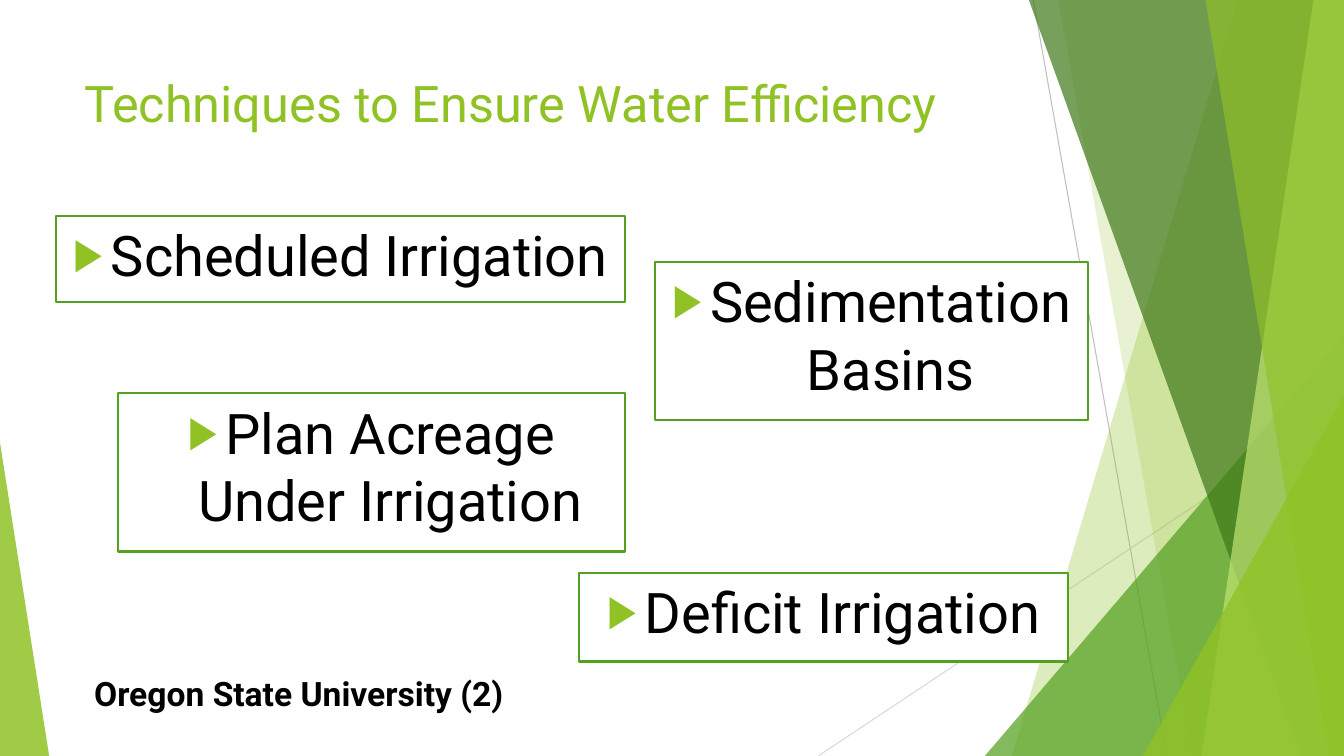
"""Build the slide on techniques to ensure water efficiency."""
from lxml import etree
from pptx import Presentation
from pptx.dml.color import RGBColor
from pptx.enum.shapes import MSO_CONNECTOR, MSO_SHAPE
from pptx.enum.text import MSO_ANCHOR, PP_ALIGN
from pptx.oxml.ns import qn
from pptx.util import Cm, Pt

STRAIGHT = MSO_CONNECTOR.STRAIGHT
RECTANGLE, TRIANGLE = MSO_SHAPE.RECTANGLE, MSO_SHAPE.ISOSCELES_TRIANGLE
TOP = MSO_ANCHOR.TOP
LEFT, CENTER = PP_ALIGN.LEFT, PP_ALIGN.CENTER

THEME = {
    "font": "Roboto",
    "lime": "90C226", "green": "54A021", "forest": "3F7819", "pale": "C0E474",
    "white": "FFFFFF", "black": "000000", "grey": "BFBFBF", "silver": "D9D9D9",
    "title": 36, "technique": 40, "credit": 24,
    "hairline": 0.75, "frame": 1.5,
    "bullet": "▶", "bullet_percent": 80, "hanging": 0.95,
}
WIDTH, HEIGHT = 33.87, 19.05

TITLE = ("Techniques to Ensure Water Efficiency", (1.88, 1.7, 23.88, 2.18))
CREDIT = ("Oregon State University (2)", (1.65, 16.84, 11.76, 1.42))
TECHNIQUES = [
    ("Scheduled Irrigation", (1.42, 5.44, 14.33, 2.18)),
    ("Deficit Irrigation", (14.6, 14.43, 12.32, 2.24)),
    ("Plan Acreage Under Irrigation", (2.97, 9.91, 12.78, 3.99)),
    ("Sedimentation Basins", (16.51, 6.6, 10.92, 3.99)),
]
RAYS = [
    ((26.04, 0), (29.41, HEIGHT), "grey"),
    ((WIDTH, 10.24), (20.62, HEIGHT), "silver"),
]
FACETS = [
    ("band", (31.19, 25.5), "lime", 30),
    ("band", (26.67, 30.05), "lime", 20),
    ("corner", (24.82, WIDTH, 8.46, 1), "green", 72),
    ("band", (25.93, 32.79), "forest", 70),
    ("band", (33.1, 30.28), "pale", 70),
    ("band", (30.38, 33.48), "lime", 65),
    ("corner", (28.8, WIDTH, 9.98, 1), "lime", 80),
    ("corner", (0, 1.24, 11.15, 0), "lime", 85),
]


def color(name):
    return RGBColor.from_string(THEME[name])


def add_ray(shapes, start, end, tint):
    ray = shapes.add_connector(STRAIGHT, *map(Cm, start + end))
    ray.line.color.rgb = color(tint)
    ray.line.width = Pt(THEME["hairline"])
    etree.SubElement(ray._element.spPr, qn("a:effectLst"))


def add_band(shapes, top_x, bottom_x):
    outline = [(WIDTH, 0), (WIDTH, HEIGHT), (bottom_x, HEIGHT)]
    builder = shapes.build_freeform(Cm(top_x), Cm(0))
    builder.add_line_segments([(Cm(x), Cm(y)) for x, y in outline], close=True)
    return builder.convert_to_shape()


def add_corner(shapes, left, right, top, apex):
    box = map(Cm, (left, top, right - left, HEIGHT - top))
    corner = shapes.add_shape(TRIANGLE, *box)
    corner.adjustments[0] = apex
    return corner


def paint_facet(facet, tint, opacity):
    facet.shadow.inherit = False
    facet.line.fill.background()
    facet.fill.solid()
    facet.fill.fore_color.rgb = color(tint)
    srgb = facet._element.spPr.find(qn("a:solidFill")).find(qn("a:srgbClr"))
    etree.SubElement(srgb, qn("a:alpha"), val=str(opacity * 1000))


def add_bullet(paragraph):
    hanging = Cm(THEME["hanging"])
    properties = paragraph._p.get_or_add_pPr()
    properties.set("marL", str(hanging))
    properties.set("indent", str(-hanging))
    tint = etree.SubElement(properties, qn("a:buClr"))
    etree.SubElement(tint, qn("a:srgbClr"), val=THEME["lime"])
    percent = str(THEME["bullet_percent"] * 1000)
    etree.SubElement(properties, qn("a:buSzPct"), val=percent)
    etree.SubElement(properties, qn("a:buFont"), typeface=THEME["font"])
    etree.SubElement(properties, qn("a:buChar"), char=THEME["bullet"])


def write(holder, text, size, tint, align, bold=False, bulleted=False):
    frame = holder.text_frame
    frame.word_wrap = True
    frame.vertical_anchor = TOP
    paragraph = frame.paragraphs[0]
    paragraph.alignment = align
    if bulleted:
        add_bullet(paragraph)
    run = paragraph.add_run()
    run.text = text
    formats = {"name": THEME["font"], "size": Pt(THEME[size]), "bold": bold}
    for attribute, value in formats.items():
        setattr(run.font, attribute, value)
    run.font.color.rgb = color(tint)


def add_technique(shapes, text, box):
    card = shapes.add_shape(RECTANGLE, *map(Cm, box))
    card.shadow.inherit = False
    card.fill.solid()
    card.fill.fore_color.rgb = color("white")
    card.line.color.rgb = color("green")
    card.line.width = Pt(THEME["frame"])
    write(card, text, "technique", "black", CENTER, bulleted=True)


def main():
    deck = Presentation()
    deck.slide_width, deck.slide_height = Cm(WIDTH), Cm(HEIGHT)
    shapes = deck.slides.add_slide(deck.slide_layouts[6]).shapes

    for ray in RAYS:
        add_ray(shapes, *ray)
    builders = {"band": add_band, "corner": add_corner}
    for kind, geometry, tint, opacity in FACETS:
        paint_facet(builders[kind](shapes, *geometry), tint, opacity)

    title, title_box = TITLE
    write(shapes.add_textbox(*map(Cm, title_box)), title, "title", "lime", LEFT)
    credit, credit_box = CREDIT
    write(shapes.add_textbox(*map(Cm, credit_box)), credit, "credit", "black",
          CENTER, bold=True)
    for technique in TECHNIQUES:
        add_technique(shapes, *technique)

    deck.save("out.pptx")


if __name__ == "__main__":
    main()
